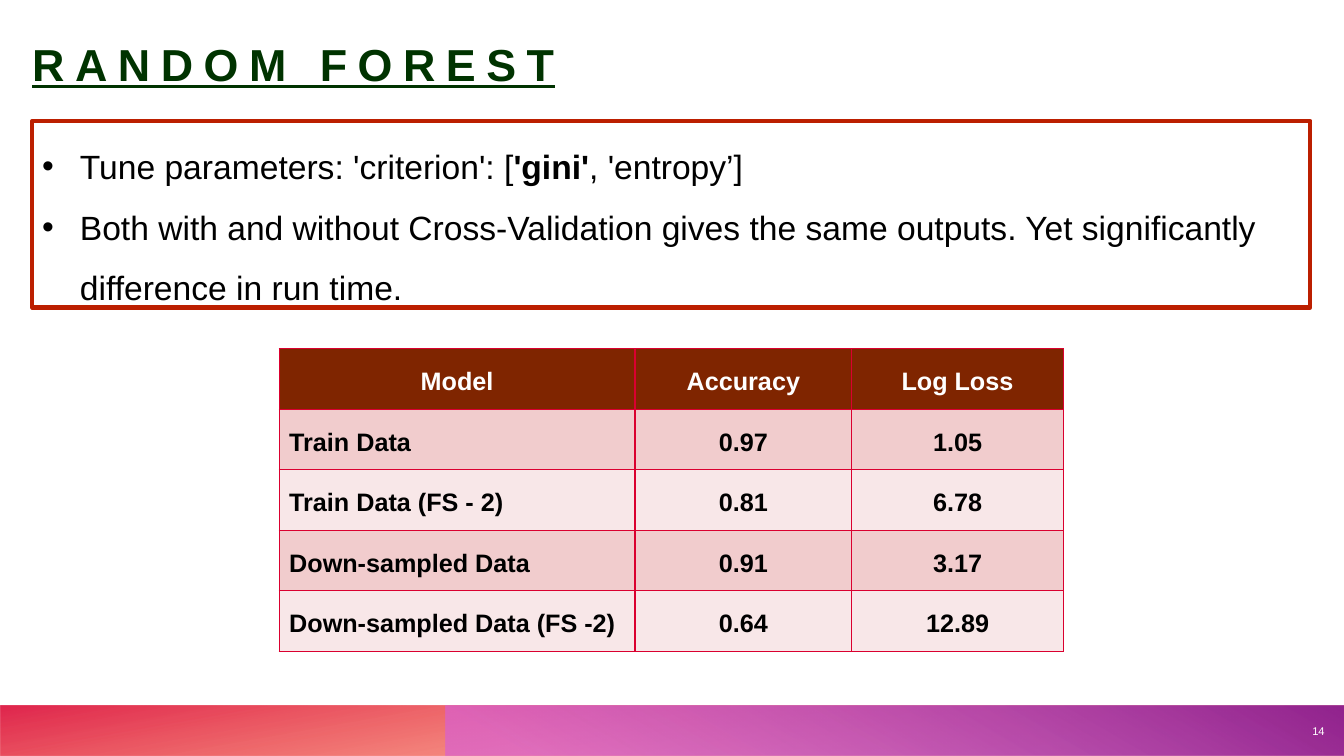
"""Build the Random Forest results slide."""
from dataclasses import dataclass

from lxml.etree import SubElement
from pptx import Presentation
from pptx.dml.color import RGBColor
from pptx.enum.shapes import MSO_SHAPE
from pptx.enum.text import MSO_ANCHOR, MSO_AUTO_SIZE, PP_ALIGN
from pptx.oxml import parse_xml
from pptx.oxml.ns import nsdecls, qn
from pptx.slide import Slide
from pptx.table import _Cell
from pptx.text.text import TextFrame, _Run
from pptx.util import Pt


@dataclass(frozen=True)
class Theme:
    """Colours, font and type sizes of the slide."""
    font: str = "Arial"
    white: str = "FFFFFF"
    black: str = "000000"
    title: str = "003300"
    frame: str = "BC1F00"
    header: str = "7F2500"
    border: str = "DA002F"
    stripes: tuple[str, str] = ("F1CCCD", "F8E7E8")
    title_size: int = 32
    body_size: int = 24
    table_size: int = 18
    number_size: int = 8


@dataclass(frozen=True)
class Box:
    """Position and size in points."""
    x: float
    y: float
    w: float
    h: float

    def emu(self) -> tuple[Pt, Pt, Pt, Pt]:
        """Return the box as slide lengths."""
        return Pt(self.x), Pt(self.y), Pt(self.w), Pt(self.h)


@dataclass(frozen=True)
class Stop:
    """Gradient stop with position and opacity in percent."""
    pos: int
    color: str
    opacity: int = 100


@dataclass(frozen=True)
class Band:
    """Footer band with a linear gradient."""
    box: Box
    stops: tuple[Stop, Stop]
    angle: int
    rotation: int = 0


THEME = Theme()
BANDS = (
    Band(Box(0, 504, 960, 36), (Stop(14, "FE4A00", 28), Stop(100, "DA002F", 85)), 100, 180),
    Band(Box(318, 504, 642, 36), (Stop(9, "D861D4", 70), Stop(99, "92248E")), 240),
)
BULLETS = (
    (("Tune parameters: 'criterion': [", False), ("'gini'", True), (", 'entropy’]", False)),
    (("Both with and without Cross-Validation gives the same outputs. "
      "Yet significantly difference in run time.", False),),
)
ROWS = (
    ("Model", "Accuracy", "Log Loss"),
    ("Train Data", "0.97", "1.05"),
    ("Train Data (FS - 2)", "0.81", "6.78"),
    ("Down-sampled Data", "0.91", "3.17"),
    ("Down-sampled Data (FS -2)", "0.64", "12.89"),
)
COLUMNS = (254.2, 154.8, 151.2)
ROW_HEIGHT = 43.2


def style_run(r: _Run, size: int, color: str, bold: bool = False) -> None:
    """Apply font, size, colour and weight to a run."""
    r.font.name = THEME.font
    r.font.size = Pt(size)
    r.font.bold = bold
    r.font.color.rgb = RGBColor.from_string(color)


def add_band(s: Slide, band: Band) -> None:
    """Draw one mirrored gradient band."""
    sp = s.shapes.add_shape(MSO_SHAPE.RECTANGLE, *band.box.emu())
    sp.shadow.inherit = False
    sp.line.fill.background()
    sp.rotation = band.rotation
    sp._element.spPr.find(qn("a:xfrm")).set("flipH", "1")
    stops = "".join(
        f'<a:gs pos="{st.pos * 1000}"><a:srgbClr val="{st.color}">'
        f'<a:alpha val="{st.opacity * 1000}"/></a:srgbClr></a:gs>'
        for st in band.stops
    )
    grad = parse_xml(
        f'<a:gradFill {nsdecls("a")} rotWithShape="1"><a:gsLst>{stops}</a:gsLst>'
        f'<a:lin ang="{band.angle * 60000}" scaled="0"/></a:gradFill>'
    )
    sp._element.spPr.find(qn("a:prstGeom")).addnext(grad)


def add_text(s: Slide, box: Box, text: str, size: int, color: str,
             anchor: MSO_ANCHOR, align: PP_ALIGN, bold: bool = False) -> TextFrame:
    """Add a one-line text box and return its frame."""
    tf = s.shapes.add_textbox(*box.emu()).text_frame
    tf.word_wrap = True
    tf.vertical_anchor = anchor
    tf.text = text
    p = tf.paragraphs[0]
    p.alignment = align
    p.space_after = Pt(6)
    style_run(p.runs[0], size, color, bold)
    return tf


def add_title(s: Slide) -> None:
    """Add the underlined, letter-spaced title."""
    tf = add_text(s, Box(23, 5.8, 436, 59), "RANDOM FOREST", THEME.title_size,
                  THEME.title, MSO_ANCHOR.BOTTOM, PP_ALIGN.LEFT, True)
    tf.margin_left = tf.margin_top = tf.margin_right = tf.margin_bottom = Pt(0)
    r = tf.paragraphs[0].runs[0]
    r.font.underline = True
    r.font._element.set("spc", "750")


def add_findings(s: Slide) -> None:
    """Add the framed bullet list."""
    sp = s.shapes.add_shape(MSO_SHAPE.RECTANGLE, *Box(23, 86.4, 913, 133.2).emu())
    sp.shadow.inherit = False
    sp.fill.background()
    sp.line.color.rgb = RGBColor.from_string(THEME.frame)
    sp.line.width = Pt(3)
    tf = sp.text_frame
    tf.word_wrap = True
    tf.auto_size = MSO_AUTO_SIZE.SHAPE_TO_FIT_TEXT
    tf.vertical_anchor = MSO_ANCHOR.TOP
    for i, parts in enumerate(BULLETS):
        p = tf.add_paragraph() if i else tf.paragraphs[0]
        pPr = p._p.get_or_add_pPr()
        pPr.set("marL", str(Pt(27)))
        pPr.set("indent", str(-Pt(27)))
        SubElement(pPr, qn("a:buFont")).set("typeface", THEME.font)
        SubElement(pPr, qn("a:buChar")).set("char", "•")
        p.alignment = PP_ALIGN.LEFT
        p.line_spacing = 1.5
        for text, bold in parts:
            r = p.add_run()
            r.text = text
            style_run(r, THEME.body_size, THEME.black, bold)


def set_borders(cell: _Cell) -> None:
    """Give a cell one-point borders on every side."""
    tcPr = cell._tc.get_or_add_tcPr()
    for i, side in enumerate(("lnL", "lnR", "lnT", "lnB")):
        tcPr.insert(i, parse_xml(
            f'<a:{side} {nsdecls("a")} w="{Pt(1)}"><a:solidFill>'
            f'<a:srgbClr val="{THEME.border}"/></a:solidFill></a:{side}>'
        ))


def add_scores(s: Slide) -> None:
    """Add the table of model scores."""
    box = Box(199.4, 249.1, sum(COLUMNS), ROW_HEIGHT * len(ROWS))
    tbl = s.shapes.add_table(len(ROWS), len(COLUMNS), *box.emu()).table
    for col, width in zip(tbl.columns, COLUMNS):
        col.width = Pt(width)
    for i, row in enumerate(ROWS):
        tbl.rows[i].height = Pt(ROW_HEIGHT)
        fill = THEME.stripes[(i - 1) % 2] if i else THEME.header
        for j, text in enumerate(row):
            cell = tbl.cell(i, j)
            cell.fill.solid()
            cell.fill.fore_color.rgb = RGBColor.from_string(fill)
            set_borders(cell)
            cell.text_frame.text = text
            p = cell.text_frame.paragraphs[0]
            p.alignment = PP_ALIGN.LEFT if i and not j else PP_ALIGN.CENTER
            p.line_spacing = 1.5
            style_run(p.runs[0], THEME.table_size, THEME.black if i else THEME.white, True)


def main() -> None:
    """Create and save the presentation."""
    prs = Presentation()
    prs.slide_width, prs.slide_height = Pt(960), Pt(540)
    s = prs.slides.add_slide(prs.slide_layouts[6])
    s.background.fill.solid()
    s.background.fill.fore_color.rgb = RGBColor.from_string(THEME.white)
    for band in BANDS:
        add_band(s, band)
    add_text(s, Box(918.7, 504.7, 34.6, 35.3), "14", THEME.number_size, THEME.white,
             MSO_ANCHOR.MIDDLE, PP_ALIGN.RIGHT)
    add_title(s)
    add_findings(s)
    add_scores(s)
    prs.save("out.pptx")


if __name__ == "__main__":
    main()
